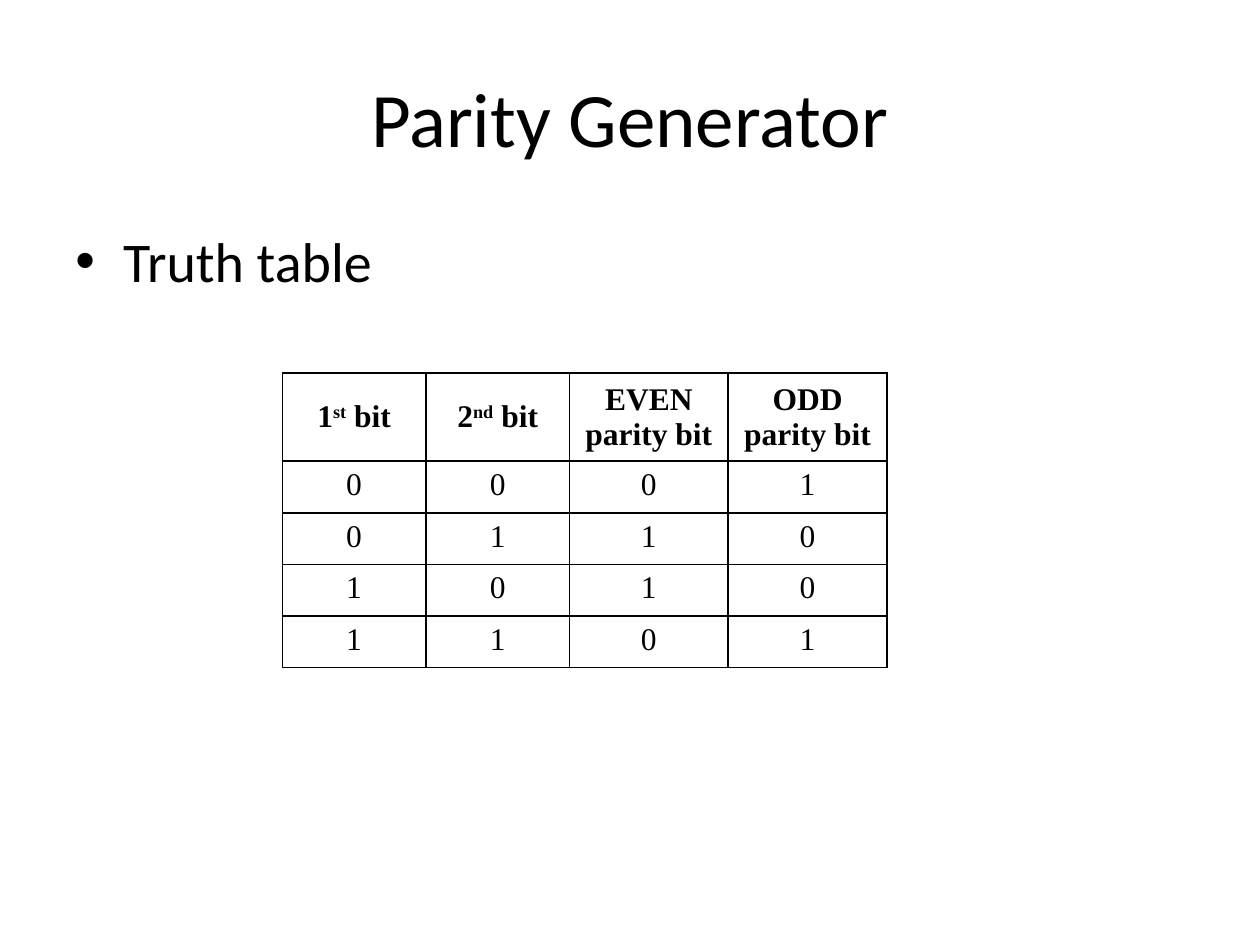
from lxml.etree import SubElement
from pptx import Presentation
from pptx.dml.color import RGBColor
from pptx.enum.text import MSO_ANCHOR, PP_ALIGN
from pptx.oxml.ns import qn
from pptx.util import Inches, Pt

COLORS = {"ink": "000000"}
INK = RGBColor.from_string(COLORS["ink"])


def add_run(paragraph, text, size, font, bold=False, baseline=0):
    run = paragraph.add_run()
    run.text = text
    run.font.size = Pt(size)
    run.font.name = font
    run.font.bold = bold
    run.font.color.rgb = INK
    if baseline:
        run.font._element.set("baseline", str(baseline))


def add_borders(cell):
    properties = cell._tc.get_or_add_tcPr()
    for side in ("a:lnL", "a:lnR", "a:lnT", "a:lnB"):
        line = SubElement(properties, qn(side), w=str(Pt(1)))
        fill = SubElement(line, qn("a:solidFill"))
        SubElement(fill, qn("a:srgbClr"), val=COLORS["ink"])


prs = Presentation()
prs.slide_width = Inches(10)
prs.slide_height = Inches(7.5)
slide = prs.slides.add_slide(prs.slide_layouts[6])

title = slide.shapes.add_textbox(Inches(0.5), Inches(0.3), Inches(9), Inches(1.25)).text_frame
title.word_wrap = True
title.vertical_anchor = MSO_ANCHOR.MIDDLE
title.paragraphs[0].alignment = PP_ALIGN.CENTER
add_run(title.paragraphs[0], "Parity Generator", 44, "Calibri")

body = slide.shapes.add_textbox(Inches(0.5), Inches(1.75), Inches(9), Inches(4.95)).text_frame
body.word_wrap = True
bullet = body.paragraphs[0]
bullet.space_before = Pt(6.4)
bullet_properties = bullet._p.get_or_add_pPr()
bullet_properties.set("marL", str(Inches(0.38)))
bullet_properties.set("indent", str(-Inches(0.38)))
SubElement(bullet_properties, qn("a:buFont"), typeface="Arial")
SubElement(bullet_properties, qn("a:buChar"), char="•")
add_run(bullet, "Truth table", 32, "Calibri")

SUPERSCRIPT = 30000
headers = [
    [("1", 0), ("st", SUPERSCRIPT), (" bit", 0)],
    [("2", 0), ("nd", SUPERSCRIPT), (" bit", 0)],
    [("EVEN parity bit", 0)],
    [("ODD parity bit", 0)],
]
rows = [headers]
for first in (0, 1):
    for second in (0, 1):
        even = first ^ second
        rows.append([[(str(bit), 0)] for bit in (first, second, even, 1 - even)])

column_widths = [1.14, 1.14, 1.26, 1.26]
row_heights = [0.65] + [0.41] * 4
truth_table = slide.shapes.add_table(
    len(rows), len(headers), Inches(2.24), Inches(2.96),
    Inches(sum(column_widths)), Inches(sum(row_heights))).table
truth_table.first_row = False
truth_table.horz_banding = False
for column, width in zip(truth_table.columns, column_widths):
    column.width = Inches(width)

for r, (row, height) in enumerate(zip(rows, row_heights)):
    truth_table.rows[r].height = Inches(height)
    for c, pieces in enumerate(row):
        cell = truth_table.cell(r, c)
        cell.vertical_anchor = MSO_ANCHOR.MIDDLE if r == 0 else MSO_ANCHOR.TOP
        add_borders(cell)
        cell.fill.background()
        paragraph = cell.text_frame.paragraphs[0]
        paragraph.alignment = PP_ALIGN.CENTER
        for text, baseline in pieces:
            add_run(paragraph, text, 18, "Times New Roman", r == 0, baseline)

prs.save("out.pptx")
